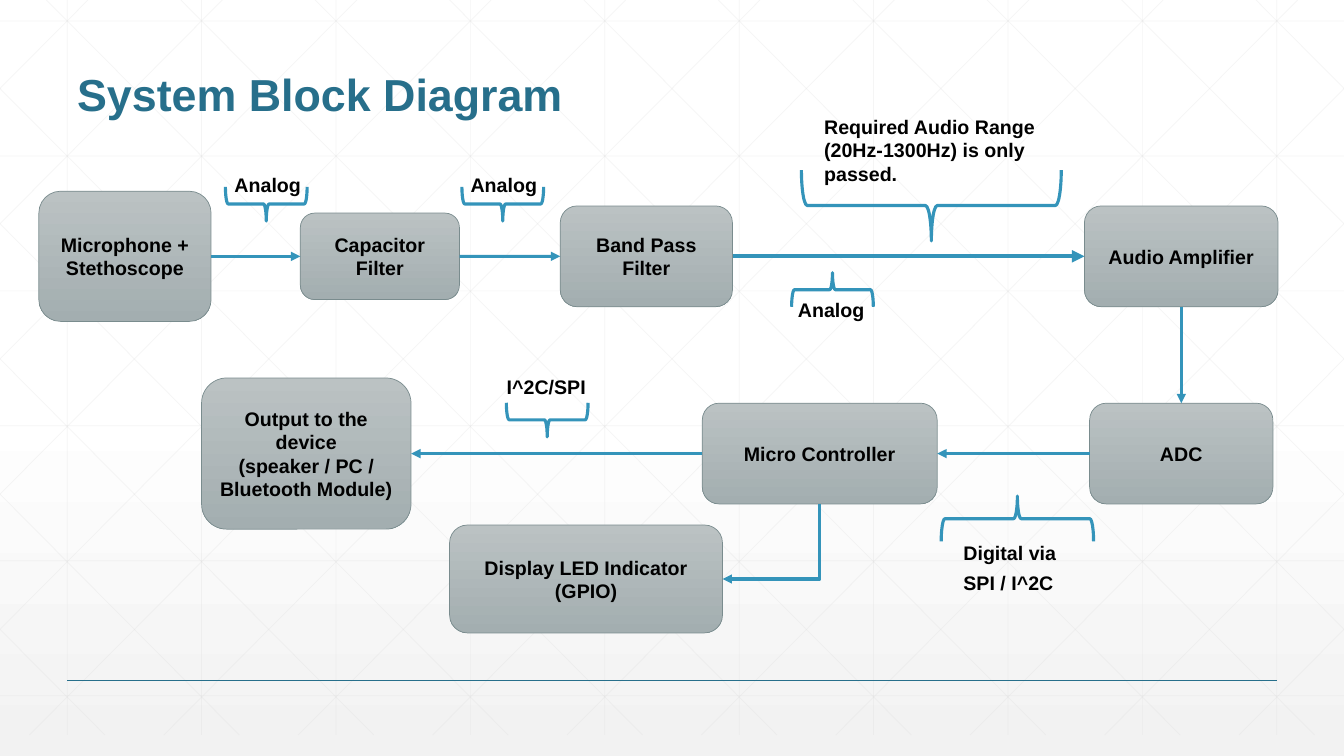
from lxml import etree
from pptx import Presentation
from pptx.dml.color import RGBColor
from pptx.enum.shapes import MSO_CONNECTOR, MSO_SHAPE
from pptx.enum.text import MSO_ANCHOR, MSO_AUTO_SIZE, PP_ALIGN
from pptx.oxml.ns import qn
from pptx.util import Cm, Pt

STRAIGHT, ELBOW = MSO_CONNECTOR.STRAIGHT, MSO_CONNECTOR.ELBOW
ROUNDED, BRACE = MSO_SHAPE.ROUNDED_RECTANGLE, MSO_SHAPE.RIGHT_BRACE
LEFT, CENTER = PP_ALIGN.LEFT, PP_ALIGN.CENTER
TOP, MIDDLE, BOTTOM = MSO_ANCHOR.TOP, MSO_ANCHOR.MIDDLE, MSO_ANCHOR.BOTTOM
NO_FIT = MSO_AUTO_SIZE.NONE

BLACK = RGBColor(0x00, 0x00, 0x00)
WHITE = RGBColor(0xFF, 0xFF, 0xFF)
PALE_GREY = RGBColor(0xF2, 0xF2, 0xF2)
GRID_GREY = RGBColor(0xD9, 0xD9, 0xD9)
TEAL = RGBColor(0x27, 0x6F, 0x8B)
BLUE = RGBColor(0x34, 0x94, 0xBA)
BOX_LIGHT = RGBColor(0xBB, 0xC2, 0xC3)
BOX_DARK = RGBColor(0xA3, 0xAE, 0xB0)
BOX_EDGE = RGBColor(0x7A, 0x8C, 0x8E)

FONT = "Arial"
WIDTH, HEIGHT = 33.87, 19.05
SITE_TOP, SITE_LEFT, SITE_BOTTOM, SITE_RIGHT = range(4)

TITLE = "System Block Diagram"
ROW_CENTERS = {"input": 6.46, "output": 11.43, "display": 14.59}

# name: text, row, left, width, height
BLOCKS = {
    "mic": ("Microphone + Stethoscope", "input", 0.98, 4.34, 3.28),
    "capacitor": ("Capacitor Filter", "input", 7.57, 4.01, 2.18),
    "band": ("Band Pass Filter", "input", 14.12, 4.34, 2.54),
    "amplifier": ("Audio Amplifier", "input", 27.33, 4.88, 2.54),
    "adc": ("ADC", "output", 27.46, 4.62, 2.54),
    "controller": ("Micro Controller", "output", 17.7, 5.92, 2.54),
    "device": ("Output to the device\n(speaker / PC / Bluetooth Module)",
               "output", 5.08, 5.28, 3.81),
    "led": ("Display LED Indicator\n(GPIO)", "display", 11.33, 6.88, 2.72),
}

SIGNALS = [
    ("mic", SITE_RIGHT, "capacitor", SITE_LEFT, 2.25),
    ("capacitor", SITE_RIGHT, "band", SITE_LEFT, 2.25),
    ("band", SITE_RIGHT, "amplifier", SITE_LEFT, 3),
    ("amplifier", SITE_BOTTOM, "adc", SITE_TOP, 2.25),
    ("adc", SITE_LEFT, "controller", SITE_RIGHT, 2.25),
    ("controller", SITE_LEFT, "device", SITE_RIGHT, 2.25),
    ("controller", SITE_BOTTOM, "led", SITE_RIGHT, 2.25),
]

BRACES = [
    (23.47, 5.18, 6.55, 1.78, 90),
    (6.71, 5.14, 2.06, 0.86, 90),
    (12.67, 5.14, 2.06, 0.86, 90),
    (20.98, 7.3, 2.06, 0.86, 270),
    (25.64, 13.07, 3.84, 1.14, 270),
    (13.79, 10.58, 2.06, 0.86, 90),
]

LABELS = [
    ("Required Audio Range (20Hz-1300Hz) is only passed.", 20.52, 2.77, 5.87, 2.06, 1),
    ("Analog", 5.66, 4.24, 2.44, 1.02, 1),
    ("Analog", 11.61, 4.24, 2.44, 1.02, 1),
    ("Analog", 19.86, 7.39, 2.44, 1.02, 1),
    ("Digital via SPI / I^2C", 24.03, 13.34, 3.61, 1.63, 1.28),
    ("I^2C/SPI", 12.52, 9.32, 3.18, 1.02, 1),
]

GRID_STEP, GRID_BOTTOM = WIDTH / 10, 18.52
GRID_ROW_START, GRID_ROW_STEP = 0.53, 3.4
DIAGONAL_START, DIAGONAL_SLOPE = 1.17, 1.006


def set_gradient(fill, first, last, first_position=0):
    fill.gradient()
    fill.gradient_angle = 270
    stops = fill.gradient_stops
    for stop, color, position in zip(stops, (first, last), (first_position, 1)):
        stop.color.rgb = color
        stop.position = position


def style_line(connector, color, weight):
    connector.line.color.rgb = color
    connector.line.width = Pt(weight)
    etree.SubElement(connector._element.spPr, qn("a:effectLst"))


def write(frame, text, size, color, align, anchor, spacing=1):
    frame.word_wrap = True
    frame.auto_size = NO_FIT
    frame.vertical_anchor = anchor
    frame.text = text
    for paragraph in frame.paragraphs:
        paragraph.alignment = align
        paragraph.line_spacing = spacing
        font = paragraph.font
        font.name, font.size, font.bold = FONT, Pt(size), True
        font.color.rgb = color


def grid_lines():
    for column in range(10):
        x = GRID_STEP * (column + 0.5)
        yield x, 0, x, GRID_BOTTOM
    for row in range(6):
        y = GRID_ROW_START + GRID_ROW_STEP * row
        yield 0, y, WIDTH, y
    for step in range(-5, 10):
        start = DIAGONAL_START + GRID_STEP * step
        x1, x2 = max(0, start), min(WIDTH, start + GRID_BOTTOM / DIAGONAL_SLOPE)
        y1, y2 = ((x - start) * DIAGONAL_SLOPE for x in (x1, x2))
        yield x1, y1, x2, y2
        yield WIDTH - x1, y1, WIDTH - x2, y2


def add_grid(slide):
    grid = slide.shapes.add_group_shape()
    for ends in grid_lines():
        line = grid.shapes.add_connector(STRAIGHT, *map(Cm, ends))
        style_line(line, GRID_GREY, 0.5)
        for color in line._element.iter(qn("a:srgbClr")):
            etree.SubElement(color, qn("a:alpha"), val="25000")


def add_block(slide, text, row, left, width, height):
    top = ROW_CENTERS[row] - height / 2
    block = slide.shapes.add_shape(ROUNDED, *map(Cm, (left, top, width, height)))
    block.shadow.inherit = False
    set_gradient(block.fill, BOX_LIGHT, BOX_DARK)
    block.line.color.rgb = BOX_EDGE
    block.line.width = Pt(0.5)
    write(block.text_frame, text, 14, BLACK, CENTER, MIDDLE)
    return block


def add_signal(slide, source, source_site, target, target_site, weight):
    turns = source_site == SITE_BOTTOM and target_site == SITE_RIGHT
    signal = slide.shapes.add_connector(ELBOW if turns else STRAIGHT, 0, 0, 0, 0)
    signal.begin_connect(source, source_site)
    signal.end_connect(target, target_site)
    if turns:
        run, drop = signal.width, signal.height
        center_x, center_y = signal.left + run // 2, signal.top + drop // 2
        frame = signal._element.spPr.find(qn("a:xfrm"))
        frame.attrib.clear()
        frame.set("rot", "5400000")
        signal._element.spPr.find(qn("a:prstGeom")).set("prst", "bentConnector2")
        signal.left, signal.top = center_x - drop // 2, center_y - run // 2
        signal.width, signal.height = drop, run
    style_line(signal, BLUE, weight)
    etree.SubElement(signal.line._get_or_add_ln(), qn("a:tailEnd"), type="triangle")


def add_brace(slide, center_x, center_y, span, depth, rotation):
    place = (center_x - depth / 2, center_y - span / 2, depth, span)
    brace = slide.shapes.add_shape(BRACE, *map(Cm, place))
    brace.rotation = rotation
    brace.shadow.inherit = False
    brace.fill.background()
    brace.line.color.rgb = BLUE
    brace.line.width = Pt(2.25)


def main():
    deck = Presentation()
    deck.slide_width, deck.slide_height = Cm(WIDTH), Cm(HEIGHT)
    slide = deck.slides.add_slide(deck.slide_layouts[5])
    set_gradient(slide.background.fill, WHITE, PALE_GREY, 0.53)
    add_grid(slide)
    footer_rule = slide.shapes.add_connector(
        STRAIGHT, *map(Cm, (1.69, 17.15, WIDTH - 1.69, 17.15)))
    style_line(footer_rule, TEAL, 1)

    title = slide.shapes.title
    title.left, title.top, title.width, title.height = map(Cm, (1.69, 0.64, 30.48, 2.54))
    write(title.text_frame, TITLE, 32, TEAL, LEFT, BOTTOM, 0.9)
    slide.shapes._spTree.append(title._element)

    blocks = {name: add_block(slide, *block) for name, block in BLOCKS.items()}
    for source, source_site, target, target_site, weight in SIGNALS:
        add_signal(slide, blocks[source], source_site, blocks[target], target_site, weight)
    for brace in BRACES:
        add_brace(slide, *brace)
    for text, left, top, width, height, spacing in LABELS:
        label = slide.shapes.add_textbox(*map(Cm, (left, top, width, height)))
        write(label.text_frame, text, 14, BLACK, LEFT, TOP, spacing)
    deck.save("out.pptx")


if __name__ == "__main__":
    main()
